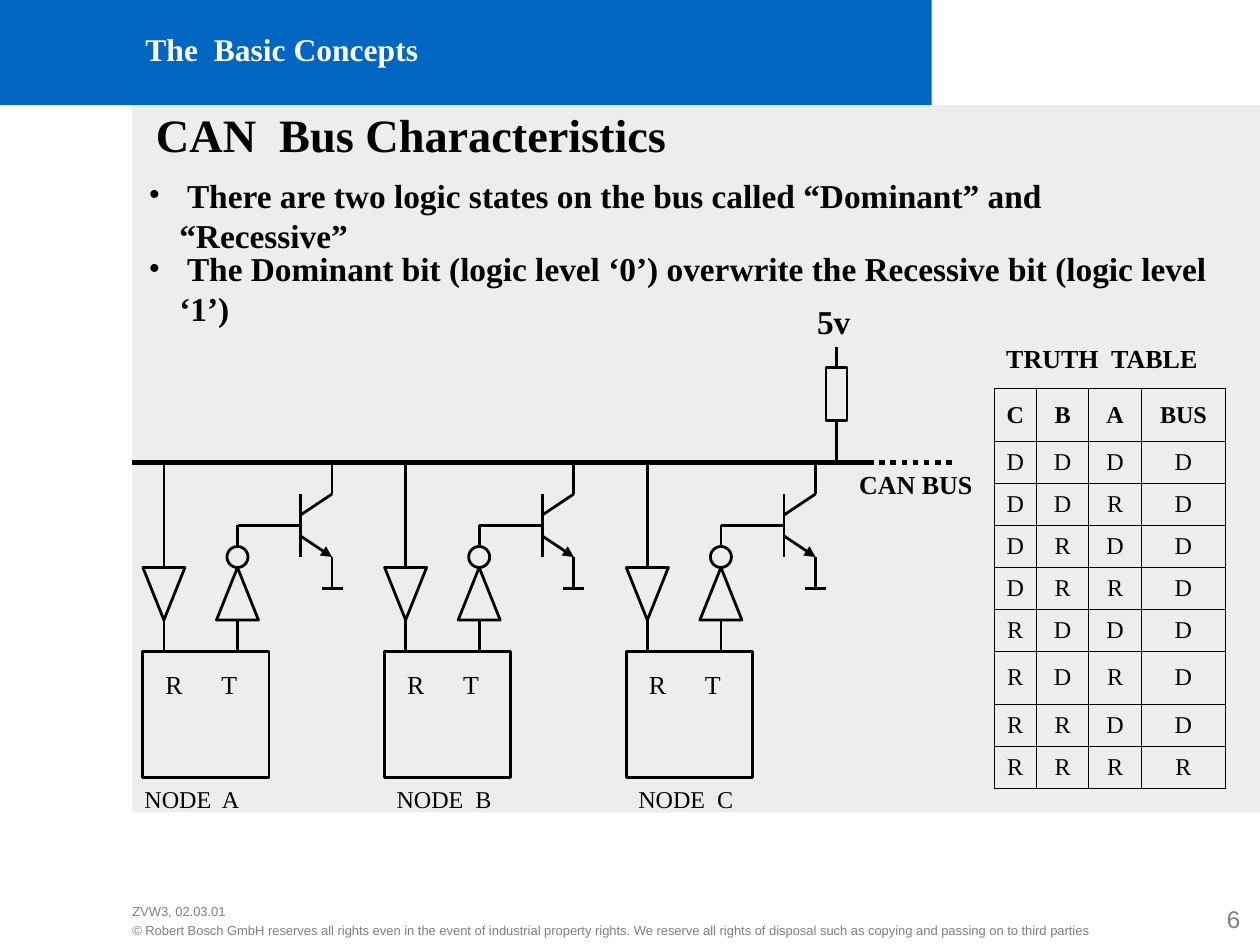
from lxml import etree
from pptx import Presentation
from pptx.dml.color import RGBColor
from pptx.enum.dml import MSO_LINE
from pptx.enum.shapes import MSO_CONNECTOR, MSO_SHAPE
from pptx.enum.text import MSO_ANCHOR, PP_ALIGN
from pptx.oxml.ns import qn
from pptx.util import Emu, Inches, Mm, Pt

RECT, OVAL = MSO_SHAPE.RECTANGLE, MSO_SHAPE.OVAL
BUFFER_UP, BUFFER_DOWN = MSO_SHAPE.FLOWCHART_EXTRACT, MSO_SHAPE.FLOWCHART_MERGE
STRAIGHT = MSO_CONNECTOR.STRAIGHT
DOTTED = MSO_LINE.ROUND_DOT
CENTER, RIGHT = PP_ALIGN.CENTER, PP_ALIGN.RIGHT
MIDDLE = MSO_ANCHOR.MIDDLE

COLORS = {"banner": "0066C2", "panel": "EDEDED", "ink": "000000",
          "white": "FFFFFF", "footer": "7F7F7F", "page": "808080"}
SERIF, SANS = "Times New Roman", "Arial"
GRID = Mm(2)
GRID_LEFT = 0.6  # column 0 starts this many grid steps from the slide edge
BODY_INSETS = (0.09, 0.05, 0.09, 0.05)

BULLETS = [
    (16, 101.2, " There are two logic states on the bus called “Dominant” and “Recessive”"),
    (23, 107, " The Dominant bit (logic level ‘0’) overwrite the Recessive bit (logic level ‘1’)"),
]
COPYRIGHT = ("© Robert Bosch GmbH reserves all rights even in the event of industrial property "
             "rights. We reserve all rights of disposal such as copying and passing on to third parties")
TRUTH_ROWS = [["C", "B", "A", "BUS"]] + [
    list(states) for states in
    ("DDDD", "DDRD", "DRDD", "DRRD", "RDDD", "RDRD", "RRDD", "RRRR")]
TRUTH_COLUMNS = [4, 5, 5, 8]
TRUTH_HEIGHTS = [5, 4, 4, 4, 4, 4, 5, 4, 4]


def rgb(color):
    return RGBColor.from_string(COLORS[color])


def steps(count):
    return Emu(round(count * GRID))


def place(col, row):
    return steps(col + GRID_LEFT), steps(row)


def style_runs(paragraph, size, bold=False, color="ink", font=SERIF):
    for run in paragraph.runs:
        run.font.name = font
        run.font.size = Pt(size)
        run.font.bold = bold
        run.font.color.rgb = rgb(color)


def add_text(slide, col, row, width, height, text, size, insets=BODY_INSETS, **style):
    """Add a one-paragraph text box and return the paragraph."""
    frame = slide.shapes.add_textbox(*place(col, row), steps(width), steps(height)).text_frame
    frame.word_wrap = True
    (frame.margin_left, frame.margin_top,
     frame.margin_right, frame.margin_bottom) = map(Inches, insets)
    frame.text = text
    paragraph = frame.paragraphs[0]
    style_runs(paragraph, size, **style)
    return paragraph


def add_block(slide, col, row, width, height, color):
    block = slide.shapes.add_shape(RECT, *place(col, row), steps(width), steps(height))
    block.shadow.inherit = False
    block.fill.solid()
    block.fill.fore_color.rgb = rgb(color)
    block.line.fill.background()


def add_symbol(slide, preset, col, row, width, height):
    symbol = slide.shapes.add_shape(preset, *place(col, row), steps(width), steps(height))
    symbol.shadow.inherit = False
    symbol.fill.background()
    symbol.line.color.rgb = rgb("ink")
    symbol.line.width = Pt(1.5)


def add_wire(slide, start, end, weight=1.5, dash=None, arrow=False):
    wire = slide.shapes.add_connector(STRAIGHT, *place(*start), *place(*end))
    wire.line.color.rgb = rgb("ink")
    wire.line.width = Pt(weight)
    if dash:
        wire.line.dash_style = dash
    if arrow:
        etree.SubElement(wire.line._get_or_add_ln(), qn("a:tailEnd"), type="triangle")
    etree.SubElement(wire._element.spPr, qn("a:effectLst"))


def add_frame(slide):
    """Add the banner, the panel and the footer."""
    add_block(slide, -GRID_LEFT, 0, 88.65, 10, "banner")
    add_block(slide, 12, 10, 107.3, 67.3, "panel")
    add_text(slide, 12.1, 2.2, 102, 4.7, "The  Basic Concepts", 17, bold=True, color="white")
    add_text(slide, 12, 85.2, 49.4, 3.3, "ZVW3, 02.03.01", 7,
             (0, 0.06, 0.09, 0.06), color="footer", font=SANS)
    notice = add_text(slide, 12, 86.6, 107.4, 3.3, COPYRIGHT, 7,
                      (0, 0.06, 0, 0.06), color="footer", font=SANS)
    notice.line_spacing = Pt(11)
    page = add_text(slide, 103.8, 85.3, 15, 3.9, "6", 13,
                    (0.11, 0.06, 0.11, 0.06), color="page", font=SANS)
    page.alignment = RIGHT


def add_statements(slide, col):
    add_text(slide, col + 0.7, 9.5, 78, 6.5, "CAN  Bus Characteristics", 25, bold=True)
    for row, width, statement in BULLETS:
        paragraph = add_text(slide, col, row, width, 5, statement, 18, bold=True)
        props = paragraph._p.get_or_add_pPr()
        props.set("marL", str(Inches(0.23)))
        props.set("indent", str(-Inches(0.23)))
        etree.SubElement(props, qn("a:buFont"), typeface=SERIF)
        etree.SubElement(props, qn("a:buChar"), char="•")


def add_bus(slide, col, row):
    """Add the bus line with its pull-up resistor; (col, row) is the line's left end."""
    line_end, resistor = col + 70, col + 67
    add_wire(slide, (col, row), (line_end, row), weight=3)
    add_wire(slide, (line_end, row), (line_end + 8, row), weight=3, dash=DOTTED)
    add_wire(slide, (resistor, row - 11), (resistor, row - 9))
    add_symbol(slide, RECT, resistor - 1, row - 9, 2, 5)
    add_wire(slide, (resistor, row - 4), (resistor, row))
    add_text(slide, resistor - 3, row - 16, 11, 5, "5v", 18, bold=True)
    add_text(slide, col + 68, row, 18, 4, "CAN BUS", 14, bold=True)


def add_node(slide, col, row, name, label_shift):
    """Add one bus node; (col, row) is where its left edge meets the bus line."""
    receive, send, base, emitter = col + 2, col + 9, col + 15, col + 18
    add_symbol(slide, RECT, col, row + 18, 12, 12)
    add_symbol(slide, BUFFER_DOWN, col, row + 10, 4, 5)
    add_symbol(slide, BUFFER_UP, send - 2, row + 10, 4, 5)
    add_symbol(slide, OVAL, send - 1, row + 8, 2, 2)
    for start, end in [
        ((receive, 10), (receive, 0)), ((receive, 15), (receive, 18)),
        ((send, 15), (send, 18)), ((send, 8), (send, 6)), ((send, 6), (base, 6)),
        ((base, 3), (base, 9)), ((base, 5), (emitter, 3)), ((emitter, 3), (emitter, 0)),
        ((emitter, 9), (emitter, 12)), ((emitter - 1, 12), (emitter + 1, 12)),
    ]:
        add_wire(slide, (start[0], row + start[1]), (end[0], row + end[1]))
    add_wire(slide, (base, row + 7), (emitter, row + 9), arrow=True)

    ports = add_text(slide, col + 1, row + 19, 10, 4, "R\tT", 14)
    tabs = etree.SubElement(ports._p.get_or_add_pPr(), qn("a:tabLst"))
    etree.SubElement(tabs, qn("a:tab"), pos=str(Inches(0.42)), algn="l")
    add_text(slide, col + label_shift, row + 30, 14, 4, f"NODE  {name}", 13)


def add_borders(cell):
    props = cell._tc.get_or_add_tcPr()
    for side in ("lnL", "lnR", "lnT", "lnB"):
        border = etree.SubElement(props, qn(f"a:{side}"), w=str(Pt(0.75)))
        fill = etree.SubElement(border, qn("a:solidFill"))
        etree.SubElement(fill, qn("a:srgbClr"), val=COLORS["ink"])


def add_truth_table(slide, col, row):
    add_text(slide, col, row, 24, 4, "TRUTH  TABLE", 14, bold=True)
    table = slide.shapes.add_table(
        len(TRUTH_ROWS), len(TRUTH_COLUMNS), *place(col, row + 5),
        steps(sum(TRUTH_COLUMNS)), steps(sum(TRUTH_HEIGHTS))).table
    table.first_row = table.horz_banding = False
    for column, width in zip(table.columns, TRUTH_COLUMNS):
        column.width = steps(width)
    for r, (states, height) in enumerate(zip(TRUTH_ROWS, TRUTH_HEIGHTS)):
        table.rows[r].height = steps(height)
        for c, state in enumerate(states):
            cell = table.cell(r, c)
            cell.margin_left = cell.margin_right = cell.margin_top = cell.margin_bottom = 0
            cell.vertical_anchor = MIDDLE
            add_borders(cell)
            cell.fill.background()
            cell.text_frame.text = state
            paragraph = cell.text_frame.paragraphs[0]
            paragraph.alignment = CENTER
            style_runs(paragraph, 13, bold=r == 0)


def main():
    deck = Presentation()
    deck.slide_width, deck.slide_height = Inches(9.44), Inches(7.08)
    slide = deck.slides.add_slide(deck.slide_layouts[6])
    add_frame(slide)
    add_statements(slide, 12.4)
    add_bus(slide, 12, 44)
    for index, (name, label_shift) in enumerate([("A", -1), ("B", 0), ("C", 0)]):
        add_node(slide, 13 + 23 * index, 44, name, label_shift)
    add_truth_table(slide, 94, 32)
    deck.save("out.pptx")


if __name__ == "__main__":
    main()
